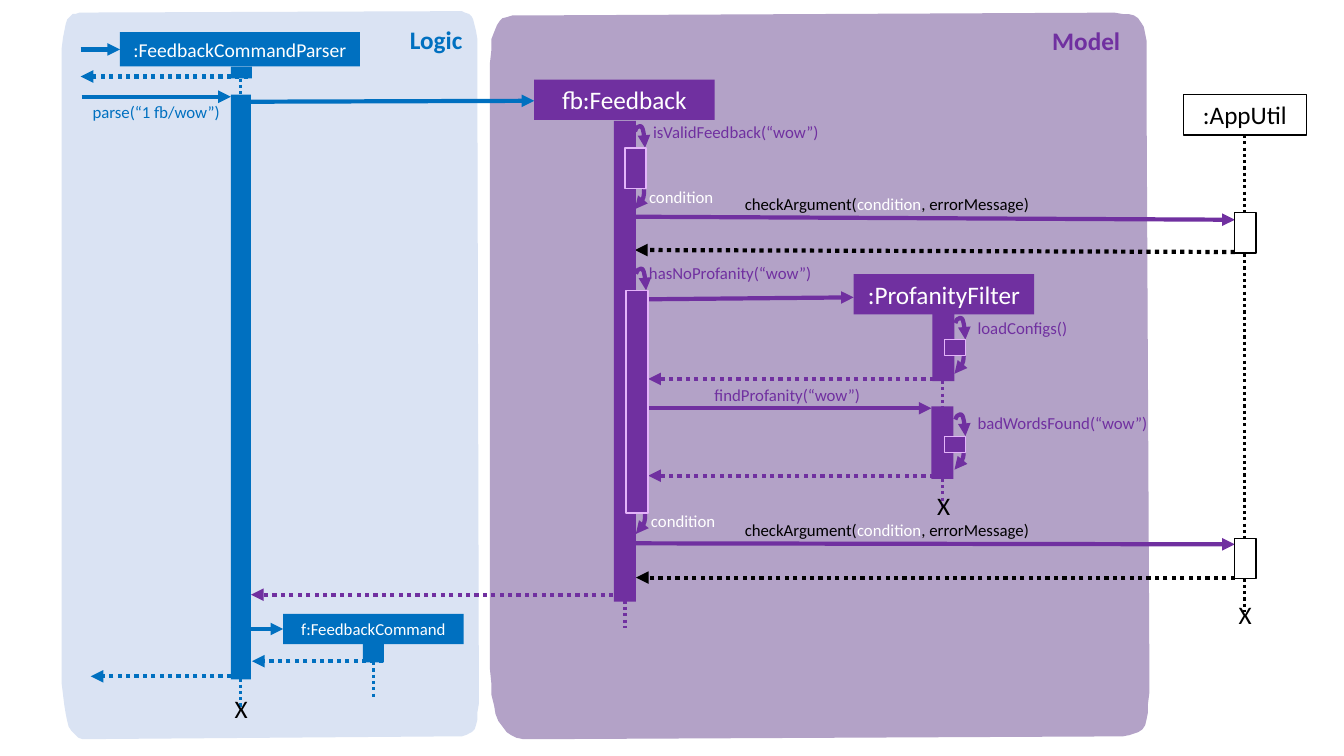
from collections import namedtuple

import pptx
import pptx.dml.color
import pptx.enum.dml
import pptx.enum.shapes
import pptx.enum.text
import pptx.oxml.ns
import pptx.oxml.xmlchemy
import pptx.util

Pt = pptx.util.Pt
RGB = pptx.dml.color.RGBColor
qn = pptx.oxml.ns.qn
new_element = pptx.oxml.xmlchemy.OxmlElement
CONNECTOR = pptx.enum.shapes.MSO_CONNECTOR

BLUE = RGB(0x00, 0x70, 0xC0)
PURPLE = RGB(0x70, 0x30, 0xA0)
LILAC = RGB(0xE4, 0xB4, 0xFA)
LOGIC_FILL = RGB(0xDA, 0xE3, 0xF3)
MODEL_FILL = RGB(0xB3, 0xA2, 0xC7)
BLACK = RGB(0x00, 0x00, 0x00)
WHITE = RGB(0xFF, 0xFF, 0xFF)

Panel = namedtuple("Panel", "fill corners")
Box = namedtuple("Box", "x y w h fill line weight text size color",
                 defaults=(None, 1, "", 18, WHITE))
Line = namedtuple("Line", "x1 y1 x2 y2 color dotted head", defaults=(False, True))
Loop = namedtuple("Loop", "x y back", defaults=(False,))
Label = namedtuple("Label", "x y w runs size bold wrap", defaults=(12, False, False))

PANELS = [
    Panel(LOGIC_FILL, [
        [(43.9, 54.7), (43.9, 6.5), (49, 9.4), (63.4, 9.4)],
        [(326.2, 7.9), (340.6, 7.9), (341.3, 15.8), (341.3, 64.1)],
        [(342, 474.5), (342, 522), (341.3, 525.6), (326.9, 525.6)],
        [(62.6, 527.8), (48.2, 527.8), (43.9, 514.1), (43.9, 466.6)]]),
    Panel(MODEL_FILL, [
        [(349.9, 55.4), (349.9, 7.9), (357.8, 10.8), (380.9, 10.8)],
        [(796.3, 9.4), (819.4, 9.4), (819.4, 17.3), (819.4, 64.8)],
        [(820.8, 474.5), (820.8, 522), (820.1, 525.6), (797, 525.6)],
        [(379.4, 527.8), (357.1, 527.8), (349.9, 514.8), (349.9, 466.6)]]),
]
MESSAGES = [
    Line(57.6, 35.3, 85.7, 35.3, BLUE), Line(58.3, 69.1, 164.9, 69.1, BLUE),
    Line(172.8, 72.7, 381.6, 72, BLUE), Line(164.9, 449.3, 202.3, 449.3, BLUE),
    Line(453.6, 154.8, 882, 157, PURPLE), Line(460.8, 213.8, 609.8, 212.4, PURPLE),
    Line(460.8, 291.6, 665.3, 291.6, PURPLE), Line(454.3, 388.1, 882, 388.8, PURPLE),
]
REPLIES = [Line(*ends, color, dotted=True) for ends, color in [
    ((177.1, 54.7, 57.6, 54.7), BLUE), ((177.1, 483.1, 64.8, 483.1), BLUE),
    ((273.6, 472.3, 180, 472.3), BLUE), ((450, 424.8, 179.3, 424.8), PURPLE),
    ((673.2, 270.7, 463, 270.7), PURPLE), ((673.2, 339.8, 463, 339.8), PURPLE),
    ((882, 180, 453.6, 178.6), BLACK), ((882, 412.6, 454.3, 412.6), BLACK),
]]
LIFELINES = [Line(x, top, x, bottom, color, dotted=True, head=False)
             for x, top, bottom, color in [
    (172.1, 56.2, 67.7, BLUE), (172.1, 484.6, 504.7, BLUE),
    (267.1, 473, 498.2, BLUE), (446.4, 429.1, 448.6, PURPLE),
    (673.4, 272.2, 290.2, PURPLE), (673.2, 342, 362.2, PURPLE),
    (889.2, 96.5, 151.9, BLACK), (889.2, 181.4, 384.5, BLACK), (889.2, 413.3, 437, BLACK),
]]
LOOPS = [
    Loop(453.6, 93.8), Loop(460.1, 135.2, True), Loop(454.3, 195.6), Loop(460.8, 367.2, True),
    Loop(682.4, 230.8), Loop(688.4, 252.8, True), Loop(682.4, 299.7), Loop(688.4, 321.3, True),
]
BOXES = [
    Box(164.9, 47.5, 15.1, 8.6, BLUE),
    Box(85.7, 23, 171.4, 24.5, BLUE, text=":FeedbackCommandParser", size=14),
    Box(164.9, 67.7, 14.4, 417.6, BLUE),
    Box(259.2, 442.1, 15.1, 31, BLUE),
    Box(202.3, 438.5, 128.9, 21.6, BLUE, text="f:FeedbackCommand", size=12),
    Box(438.5, 86.4, 15.8, 343.4, PURPLE),
    Box(381.6, 56.9, 128.9, 28.8, PURPLE, text="fb:Feedback"),
    Box(446.4, 105.8, 15.1, 28.8, PURPLE, LILAC),
    Box(447.1, 207.4, 15.8, 159.1, PURPLE, LILAC),
    Box(666, 219.6, 15.8, 52.6, PURPLE),
    Box(609.8, 195.8, 128.9, 28.8, PURPLE, text=":ProfanityFilter"),
    Box(674.6, 242.6, 15.1, 11.5, PURPLE, LILAC),
    Box(665.3, 290.2, 15.8, 51.8, PURPLE),
    Box(674.6, 311.8, 15.1, 11.5, PURPLE, LILAC),
    Box(845.3, 67.7, 87.8, 28.8, WHITE, BLACK, 0.75, ":AppUtil", color=BLACK),
    Box(882, 151.9, 15.1, 28.8, WHITE, BLACK),
    Box(882, 384.5, 15.1, 28.8, WHITE, BLACK),
]
CHECK = [("checkArgument(", BLACK), ("condition", WHITE), (", errorMessage)", BLACK)]
LABELS = [
    Label(285.8, 13.7, 52.6, [("Logic", BLUE)], 18, bold=True),
    Label(744.5, 14.4, 63.4, [("Model", PURPLE)], 18, bold=True),
    Label(59, 69.1, 106.6, [("parse(“1 fb/wow”)", BLUE)]),
    Label(459.4, 83.5, 133.9, [("isValidFeedback(“wow”)", PURPLE)]),
    Label(456.5, 184.3, 131.8, [("hasNoProfanity(“wow”)", PURPLE)]),
    Label(691.2, 223.2, 79.2, [("loadConfigs()", PURPLE)]),
    Label(503.3, 271.4, 119.5, [("findProfanity(“wow”)", PURPLE)]),
    Label(691.2, 291.6, 136.8, [("badWordsFound(“wow”)", PURPLE)]),
    Label(456.5, 129.6, 61.2, [("condition", WHITE)]),
    Label(457.9, 361.4, 61.2, [("condition", WHITE)]),
    Label(524.9, 134.6, 219.6, CHECK),
    Label(524.9, 367.9, 219.6, CHECK),
    *[Label(x, y, 23.8, [("X", BLACK)], 18, wrap=True)
      for x, y in [(160.6, 491.8), (662.4, 347), (877.7, 424.8)]],
]

def add_text(p, text: str, *, size: float, color: RGB, bold: bool = False) -> None:
    r = p.add_run()
    r.text = text
    r.font.name = "Calibri"
    r.font.size = Pt(size)
    r.font.bold = bold
    r.font.color.rgb = color

def bezier(points: list, steps: int = 12) -> list:
    weights = [((1 - t) ** 3, 3 * t * (1 - t) ** 2, 3 * t * t * (1 - t), t ** 3)
               for t in (i / steps for i in range(steps + 1))]
    return [tuple(sum(k * pt[axis] for k, pt in zip(row, points)) for axis in (0, 1))
            for row in weights]

def fill_shape(sp, color: RGB) -> None:
    sp.shadow.inherit = False
    sp.fill.solid()
    sp.fill.fore_color.rgb = color
    sp.line.fill.background()

def draw_panel(shapes, panel: Panel) -> None:
    outline = [pt for corner in panel.corners for pt in bezier(corner)]
    fb = shapes.build_freeform(*outline[0], scale=Pt(1))
    fb.add_line_segments(outline[1:], close=True)
    fill_shape(fb.convert_to_shape(), panel.fill)

def draw_box(shapes, box: Box) -> None:
    sp = shapes.add_shape(pptx.enum.shapes.MSO_SHAPE.RECTANGLE,
                          Pt(box.x), Pt(box.y), Pt(box.w), Pt(box.h))
    fill_shape(sp, box.fill)
    if box.line is not None:
        sp.line.color.rgb = box.line
        sp.line.width = Pt(box.weight)
    if box.text:
        p = sp.text_frame.paragraphs[0]
        p.alignment = pptx.enum.text.PP_ALIGN.CENTER
        add_text(p, box.text, size=box.size, color=box.color)

def style_line(cxn, color: RGB, dotted: bool, head: bool) -> None:
    cxn.line.color.rgb = color
    cxn.line.width = Pt(3 if head else 2.25)
    if dotted:
        cxn.line.dash_style = pptx.enum.dml.MSO_LINE.ROUND_DOT
    spPr = cxn._element.spPr
    if head:
        tail = new_element("a:tailEnd")
        tail.set("type", "triangle")
        spPr.find(qn("a:ln")).append(tail)
    spPr.append(new_element("a:effectLst"))

def draw_line(shapes, ln: Line) -> None:
    cxn = shapes.add_connector(CONNECTOR.STRAIGHT, Pt(ln.x1), Pt(ln.y1), Pt(ln.x2), Pt(ln.y2))
    style_line(cxn, ln.color, ln.dotted, ln.head)

def draw_loop(shapes, loop: Loop) -> None:
    dx, dy, turn, bend = (-6.6, 14.2, 90, 71100) if loop.back else (7.2, 11.8, 270, -32100)
    cx, cy = loop.x + dx / 2, loop.y + dy / 2
    run = dy / 2 if loop.back else -dy / 2
    cxn = shapes.add_connector(CONNECTOR.CURVE, Pt(cx - run), Pt(cy - abs(dx) / 2),
                               Pt(cx + run), Pt(cy + abs(dx) / 2))
    spPr = cxn._element.spPr
    spPr.find(qn("a:xfrm")).set("rot", str(turn * 60000))
    gd = new_element("a:gd")
    gd.set("name", "adj1")
    gd.set("fmla", f"val {bend}")
    spPr.find(qn("a:prstGeom")).find(qn("a:avLst")).append(gd)
    style_line(cxn, PURPLE, False, True)

def draw_label(shapes, label: Label) -> None:
    sp = shapes.add_textbox(Pt(label.x), Pt(label.y), Pt(label.w),
                            Pt(28.8 if label.size == 18 else 21.6))
    tf = sp.text_frame
    tf.word_wrap = label.wrap
    tf.auto_size = pptx.enum.text.MSO_AUTO_SIZE.SHAPE_TO_FIT_TEXT
    for text, color in label.runs:
        add_text(tf.paragraphs[0], text, size=label.size, color=color, bold=label.bold)

def main() -> None:
    prs = pptx.Presentation()
    prs.slide_width, prs.slide_height = Pt(960), Pt(540)
    shapes = prs.slides.add_slide(prs.slide_layouts[6]).shapes
    for draw, items in [(draw_panel, PANELS), (draw_line, LIFELINES + MESSAGES + REPLIES),
                        (draw_loop, LOOPS), (draw_box, BOXES), (draw_label, LABELS)]:
        for item in items:
            draw(shapes, item)
    prs.save("out.pptx")

if __name__ == "__main__":
    main()
